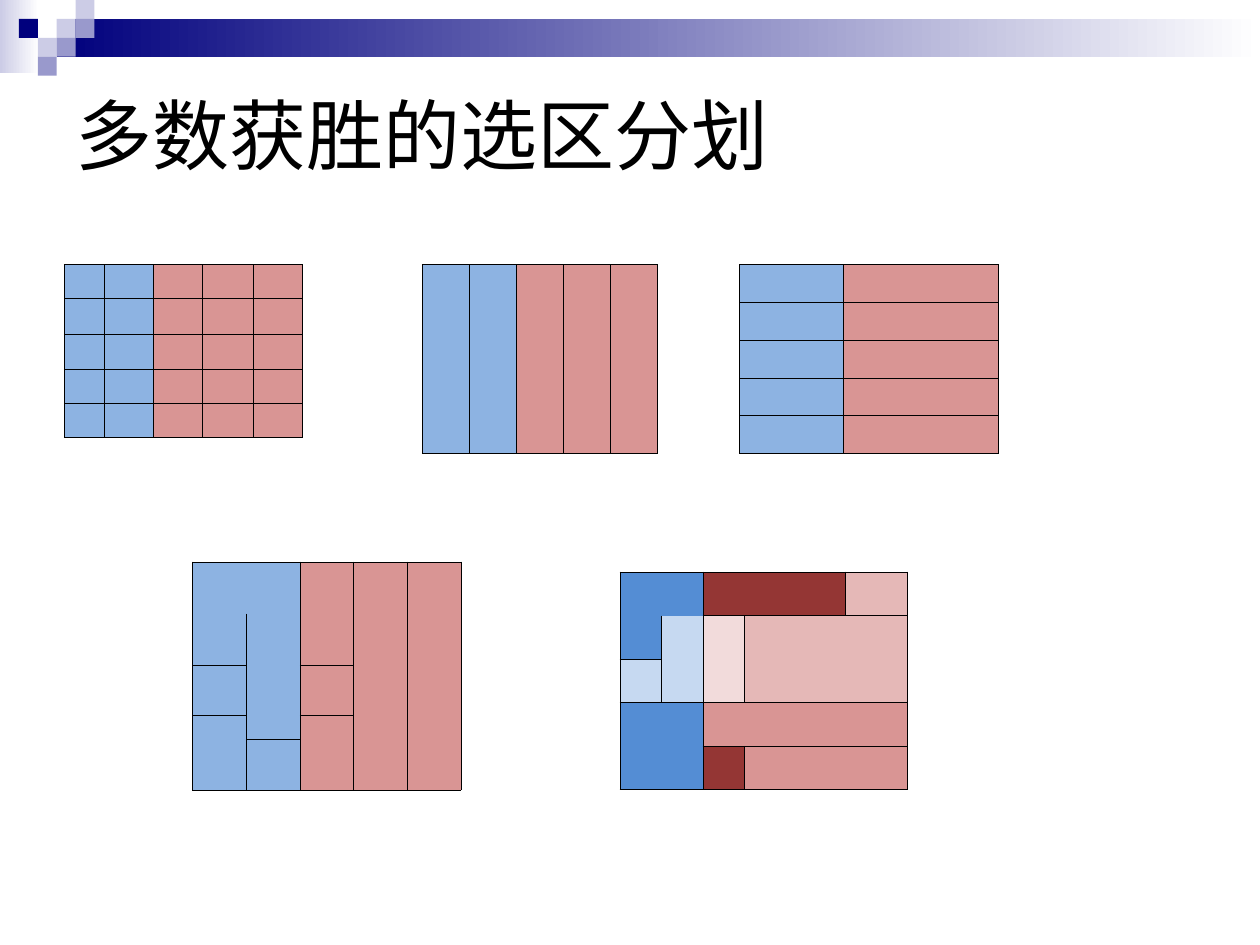
from itertools import product
from lxml.etree import SubElement
from pptx import Presentation
from pptx.dml.color import RGBColor
from pptx.enum.shapes import MSO_SHAPE
from pptx.enum.text import MSO_ANCHOR
from pptx.oxml.ns import qn
from pptx.util import Inches, Pt

COLORS = {
    "navy": "00007D", "lilac": "CCCCE6", "violet": "9999CC",
    "white": "FFFFFF", "black": "000000",
    "blue": "8DB3E2", "deep_blue": "548DD4", "pale_blue": "C6D9F1",
    "red": "D99594", "deep_red": "943634", "soft_red": "E5B8B7",
    "pale_red": "F2DBDB",
}
TITLE = "多数获胜的选区分划"
SQUARE = 0.15
NO_GRID_STYLE = "{2D5ABB26-0587-4C30-8999-92F81FD0307C}"

# Header: gradient bars (left, top, width, height, color), squares (col, row, color)
BARS = [(0, 0, 0.31, 0.58, "lilac"), (0.45, 0.15, 9.55, 0.3, "navy")]
SQUARES = [
    (3, 1, "lilac"), (4, 0, "lilac"), (4, 1, "violet"), (2, 2, "lilac"),
    (1, 1, "navy"), (3, 2, "violet"), (2, 3, "violet"),
]


def two_party(rows, split):
    """Districts of one cell each, blue in the columns before split[0]."""
    blue_cols, cols = split
    return [(r, c, 1, 1, "blue" if c < blue_cols else "red", "LRTB")
            for r, c in product(range(rows), range(cols))]


# District: row, column, row span, column span, color, sides with a border
SNAKE_DISTRICTS = [
    (0, 0, 1, 2, "blue", "LRT"), (0, 2, 2, 1, "red", "LRTB"),
    (0, 3, 5, 1, "red", "LRTB"), (0, 4, 5, 1, "red", "LRTB"),
    (1, 0, 1, 1, "blue", "LRB"), (1, 1, 3, 1, "blue", "RB"),
    (2, 0, 1, 1, "blue", "LTB"), (2, 2, 1, 1, "red", "LRTB"),
    (3, 0, 2, 1, "blue", "LRTB"), (3, 2, 2, 1, "red", "LRTB"),
    (4, 1, 1, 1, "blue", "LRTB"),
]
MIXED_DISTRICTS = [
    (0, 0, 1, 2, "deep_blue", "LRT"), (0, 2, 1, 2, "deep_red", "LRTB"),
    (0, 4, 1, 1, "soft_red", "LRT"), (1, 0, 1, 1, "deep_blue", "LRB"),
    (1, 1, 2, 1, "pale_blue", "RB"), (1, 2, 2, 1, "pale_red", "LRTB"),
    (1, 3, 2, 2, "soft_red", "LRB"), (2, 0, 1, 1, "pale_blue", "LTB"),
    (3, 0, 2, 2, "deep_blue", "LRTB"), (3, 2, 1, 3, "red", "LRT"),
    (4, 2, 1, 1, "deep_red", "LRTB"), (4, 3, 1, 2, "red", "LRB"),
]

# Maps: left, top, column widths, row heights, districts
MAPS = [
    (0.51, 2.1, [0.32, 0.39, 0.39, 0.4, 0.39], [0.27, 0.28, 0.28, 0.27, 0.27],
     two_party(5, (2, 5))),
    (1.53, 4.46, [2.13 / 5] * 5, [0.41, 0.41, 0.4, 0.19, 0.4], SNAKE_DISTRICTS),
    (3.35, 2.1, [1.87 / 5] * 5, [1.5], two_party(1, (2, 5))),
    (5.87, 2.1, [0.82, 1.23], [0.3] * 5, two_party(5, (1, 2))),
    (4.92, 4.54, [0.33, 0.33, 0.33, 0.8, 0.49], [1.73 / 5] * 5, MIXED_DISTRICTS),
]

prs = Presentation()
prs.slide_width, prs.slide_height = Inches(10), Inches(7.5)
s = prs.slides.add_slide(prs.slide_layouts[6])


def rgb(name):
    return RGBColor.from_string(COLORS[name])


def add_rect(left, top, width, height, color, fade=False):
    sp = s.shapes.add_shape(MSO_SHAPE.RECTANGLE, Inches(left), Inches(top),
                            Inches(width), Inches(height))
    sp.shadow.inherit = False
    sp.line.fill.background()
    if fade:
        sp.fill.gradient()
        sp.fill.gradient_angle = 0
        for stop, name in zip(sp.fill.gradient_stops, (color, "white")):
            stop.color.rgb = rgb(name)
    else:
        sp.fill.solid()
        sp.fill.fore_color.rgb = rgb(color)


def add_text(text, left, top, width, height, size=18, font="Arial", color="black"):
    sp = s.shapes.add_textbox(Inches(left), Inches(top), Inches(width), Inches(height))
    tf = sp.text_frame
    tf.word_wrap = True
    tf.vertical_anchor = MSO_ANCHOR.MIDDLE
    r = tf.paragraphs[0].add_run()
    r.text = text
    r.font.size, r.font.name, r.font.color.rgb = Pt(size), font, rgb(color)


def format_cell(cell, color, sides):
    cell.margin_left = cell.margin_right = cell.margin_top = cell.margin_bottom = 0
    # Small empty text lets the low rows keep their height
    SubElement(cell.text_frame.paragraphs[0]._p, qn("a:endParaRPr"), sz="800")
    tc_pr = cell._tc.get_or_add_tcPr()
    for side in sides:
        ln = SubElement(tc_pr, qn(f"a:ln{side}"), w=str(Pt(0.45)))
        fill = SubElement(ln, qn("a:solidFill"))
        SubElement(fill, qn("a:srgbClr"), val=COLORS["black"])
    cell.fill.solid()
    cell.fill.fore_color.rgb = rgb(color)


def add_map(left, top, widths, heights, districts):
    frame = s.shapes.add_table(len(heights), len(widths), Inches(left), Inches(top),
                               Inches(sum(widths)), Inches(sum(heights)))
    table = frame.table
    table.first_row = table.horz_banding = False
    table._tbl.tblPr.find(qn("a:tableStyleId")).text = NO_GRID_STYLE
    for col, width in zip(table.columns, widths):
        col.width = Inches(width)
    for row, height in zip(table.rows, heights):
        row.height = Inches(height)
    for row, col, row_span, col_span, color, sides in districts:
        for r, c in product(range(row, row + row_span), range(col, col + col_span)):
            format_cell(table.cell(r, c), color, sides)
        if row_span * col_span > 1:
            last = table.cell(row + row_span - 1, col + col_span - 1)
            table.cell(row, col).merge(last)


# Header decoration
for bar in BARS:
    add_rect(*bar, fade=True)
for col, row, color in SQUARES:
    add_rect(col * SQUARE, row * SQUARE, SQUARE, SQUARE, color)

# Title and district maps
add_text(TITLE, 0.5, 0.5, 6.78, 1.12, size=44)
for district_map in MAPS:
    add_map(*district_map)

prs.save("out.pptx")
